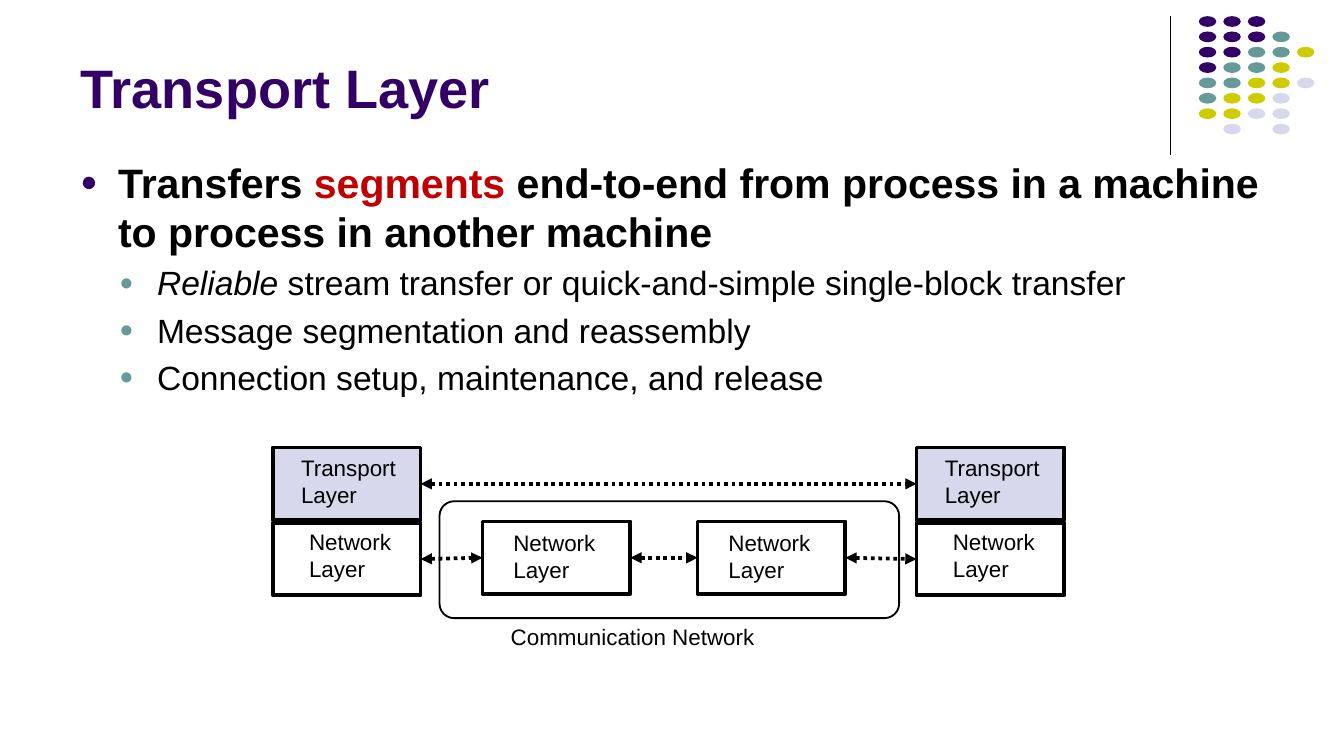
from lxml.etree import SubElement
from pptx import Presentation
from pptx.dml.color import RGBColor
from pptx.enum.dml import MSO_LINE
from pptx.enum.shapes import MSO_CONNECTOR, MSO_SHAPE
from pptx.enum.text import MSO_ANCHOR, MSO_AUTO_SIZE, PP_ALIGN
from pptx.oxml.ns import qn
from pptx.util import Inches, Pt

INK, PLUM, TEAL, LIME, MIST, RED = (
    "000000", "330066", "669999", "CCCC00", "D8D8EC", "C00000")
DOTS = ["PPP", "PPPT", "PPTTL", "PTTL", "TTLLM", "TLLM", "LLMM", " M M"]
HUES = {"P": PLUM, "T": TEAL, "L": LIME, "M": MIST}
BULLETS = [
    (0, 22, [("Transfers ", INK), ("segments", RED),
             (" end-to-end from process in a machine to process in another machine", INK)]),
    (1, 18, [("Reliable", INK),
             (" stream transfer or quick-and-simple single-block transfer", INK)]),
    (1, 18, [("Message segmentation and reassembly", INK)]),
    (1, 18, [("Connection setup, maintenance, and release", INK)]),
]


def color(code):
    """Turn a hex string into a colour."""
    return RGBColor.from_string(code)


def style(font, size, code, bold=False):
    """Format a font."""
    font.name, font.size, font.bold = "Arial", Pt(size), bold
    font.color.rgb = color(code)


def add_box(slide, kind, box, fill=None, width=0):
    """Add a preset shape with an optional fill and black outline."""
    shape = slide.shapes.add_shape(kind, *map(Inches, box))
    shape.shadow.inherit = False
    if fill:
        shape.fill.solid()
        shape.fill.fore_color.rgb = color(fill)
    else:
        shape.fill.background()
    if width:
        shape.line.color.rgb = color(INK)
        shape.line.width = Pt(width)
    else:
        shape.line.fill.background()
    return shape


def add_line(slide, start, end, width):
    """Add a plain black line."""
    line = slide.shapes.add_connector(
        MSO_CONNECTOR.STRAIGHT, *map(Inches, start + end))
    line.line.color.rgb = color(INK)
    line.line.width = Pt(width)
    SubElement(line._element.spPr, qn("a:effectLst"))
    return line


def add_link(slide, left, right):
    """Join two boxes with a dotted double arrow."""
    link = add_line(slide, (0, 0), (1, 0), 2)
    link.begin_connect(left, 3)
    link.end_connect(right, 1)
    link.line.dash_style = MSO_LINE.ROUND_DOT
    for tag in ("a:headEnd", "a:tailEnd"):
        SubElement(link.line._get_or_add_ln(), qn(tag), type="triangle")


def add_label(slide, box, text):
    """Add a small unwrapped label."""
    frame = slide.shapes.add_textbox(*map(Inches, box)).text_frame
    frame.margin_left = frame.margin_right = Inches(0.07)
    frame.margin_top = frame.margin_bottom = Inches(0.04)
    frame.word_wrap = False
    frame.auto_size = MSO_AUTO_SIZE.SHAPE_TO_FIT_TEXT
    frame.text = text
    for para in frame.paragraphs:
        style(para.runs[0].font, 12, INK)


def add_layer(slide, x, y, name, inset, drop, fill=None):
    """Add one protocol layer box with its label."""
    shape = add_box(slide, MSO_SHAPE.RECTANGLE, (x, y, 1.1, 0.54), fill, 2)
    wide = 0.86 if name == "Transport" else 0.77
    add_label(slide, (x + inset, y + drop, wide, 0.48), name + "\nLayer")
    return shape


def add_host(slide, x, y):
    """Add an end machine with its transport and network layers."""
    return (add_layer(slide, x, y, "Transport", 0.14, 0.01, MIST),
            add_layer(slide, x, y + 0.56, "Network", 0.2, 0))


def add_dots(slide, x, y):
    """Add the corner dot grid and its rule."""
    add_line(slide, (x - 0.21, y), (x - 0.21, y + 1.03), 0.75)
    for row, marks in enumerate(DOTS):
        for col, mark in enumerate(marks):
            if mark in HUES:
                spot = (x + col * 0.73 / 4, y + row * 0.8 / 7, 0.13, 0.08)
                add_box(slide, MSO_SHAPE.OVAL, spot, HUES[mark])


def set_title(slide, box, text):
    """Place and format the title."""
    title = slide.shapes.title
    title.left, title.top, title.width, title.height = map(Inches, box)
    frame = title.text_frame
    frame.text = text
    frame.auto_size = MSO_AUTO_SIZE.NONE
    frame.vertical_anchor = MSO_ANCHOR.BOTTOM
    para = frame.paragraphs[0]
    para.alignment = PP_ALIGN.LEFT
    style(para.runs[0].font, 29, PLUM, True)


def add_bullet(para, level, code):
    """Give a paragraph its indent and round bullet."""
    para.level = level
    props = para._p.get_or_add_pPr()
    props.set("marL", str(Inches(0.28 + level * 0.29)))
    props.set("indent", str(Inches(-0.28)))
    SubElement(SubElement(props, qn("a:buClr")), qn("a:srgbClr"), val=code)
    SubElement(props, qn("a:buSzPct"), val="70000")
    SubElement(props, qn("a:buFont"), typeface="Arial")
    SubElement(props, qn("a:buChar"), char="●")


def add_body(slide, box):
    """Add the bulleted text."""
    frame = slide.shapes.add_textbox(*map(Inches, box)).text_frame
    frame.word_wrap = True
    for row, (level, size, parts) in enumerate(BULLETS):
        para = frame.add_paragraph() if row else frame.paragraphs[0]
        if row:
            para.space_before = Pt(size * 0.2)
        add_bullet(para, level, TEAL if level else PLUM)
        for text, code in parts:
            run = para.add_run()
            run.text = text
            style(run.font, size, code, level == 0)
            run.font.italic = text == "Reliable"


def add_diagram(slide, x, y):
    """Add the hosts, the network between them and their links."""
    near, first = add_host(slide, x, y)
    far, last = add_host(slide, x + 4.79, y)
    nodes = [add_layer(slide, x + dx, y + 0.55, "Network", 0.16, 0.02)
             for dx in (1.56, 3.16)]
    cloud = add_box(slide, MSO_SHAPE.ROUNDED_RECTANGLE,
                    (x + 1.24, y + 0.4, 3.42, 0.87), None, 1)
    cloud.adjustments[0] = 0.125
    add_label(slide, (x + 1.7, y + 1.27, 1.98, 0.28), "Communication Network")
    add_link(slide, near, far)
    chain = [first, *nodes, last]
    for left, right in zip(chain, chain[1:]):
        add_link(slide, left, right)


def main():
    """Build and save the slide."""
    deck = Presentation()
    deck.slide_width = Inches(10)
    deck.slide_height = deck.slide_width * 9 // 16
    slide = deck.slides.add_slide(deck.slide_layouts[5])
    add_dots(slide, 8.92, 0.12)
    set_title(slide, (0.5, 0.1, 8.25, 0.84), "Transport Layer")
    add_body(slide, (0.5, 1.12, 9.29, 2.69))
    add_diagram(slide, 2.03, 3.33)
    deck.save("out.pptx")


if __name__ == "__main__":
    main()
